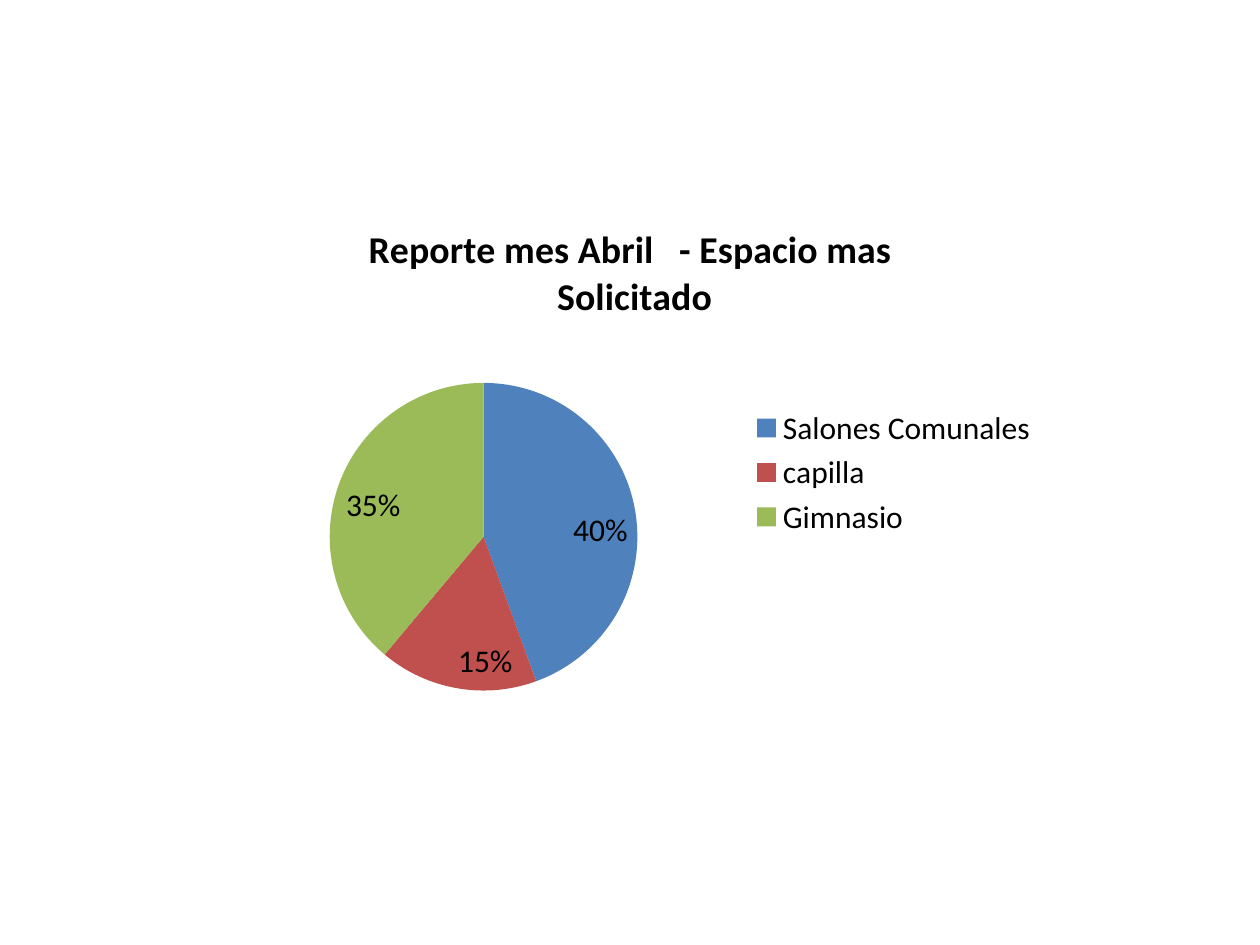
from dataclasses import dataclass

from lxml.etree import SubElement
from pptx import Presentation
from pptx.chart.data import CategoryChartData as Data
from pptx.dml.color import RGBColor as Color
from pptx.enum.chart import XL_CHART_TYPE as Kind
from pptx.enum.chart import XL_LABEL_POSITION as Spot
from pptx.enum.chart import XL_LEGEND_POSITION as Side
from pptx.oxml.ns import qn
from pptx.util import Inches, Pt


@dataclass(frozen=True)
class Theme:
    """Hold the colours, font and type sizes."""
    font: str = "Calibri"
    ink: str = "000000"
    slices: tuple = ("4F81BD", "C0504D", "9BBB59")
    head: float = 21.6
    body: float = 18


def assign(item, values):
    """Set each attribute of item from a dict."""
    for name, value in values.items():
        setattr(item, name, value)


def place(node, **spots):
    """Fill a chart layout node with fractions of the chart."""
    for old in list(node):
        node.remove(old)
    box = SubElement(node, qn("c:manualLayout"))
    if "w" in spots:
        SubElement(box, qn("c:layoutTarget")).set("val", "inner")
    for key in "xy":
        SubElement(box, qn(f"c:{key}Mode")).set("val", "edge")
    for key, value in spots.items():
        SubElement(box, qn(f"c:{key}")).set("val", str(value))


class Deck:
    """Draw styled elements on the current slide."""

    def __init__(self, theme, width, height):
        """Start a deck with one blank slide."""
        self.theme = theme
        self.show = Presentation()
        assign(self.show, {"slide_width": Inches(width),
                           "slide_height": Inches(height)})
        self.slide = self.show.slides.add_slide(self.show.slide_layouts[6])

    def style(self, font, size, bold=False):
        """Apply the theme to a font."""
        assign(font, {"name": self.theme.font, "size": Pt(size), "bold": bold})
        font.color.rgb = Color.from_string(self.theme.ink)

    def pie(self, box, title, shares):
        """Add a pie chart with a title, legend and percent labels."""
        data = Data()
        data.categories = list(shares)
        data.add_series("Series 1", list(shares.values()))
        chart = self.slide.shapes.add_chart(
            Kind.PIE, *map(Inches, box), data).chart
        self.style(chart.font, self.theme.body)
        self.title(chart, title)
        chart.has_legend = True
        assign(chart.legend, {"position": Side.RIGHT,
                              "include_in_layout": False})
        plot = chart.plots[0]
        assign(plot, {"vary_by_categories": True, "has_data_labels": True})
        labels = plot.data_labels
        assign(labels, {"show_value": True, "show_percentage": False,
                        "number_format": '0"%"',
                        "number_format_is_linked": False,
                        "position": Spot.INSIDE_END})
        self.style(labels.font, self.theme.body)
        for index, tone in enumerate(self.theme.slices):
            fill = plot.series[0].points[index].format.fill
            fill.solid()
            fill.fore_color.rgb = Color.from_string(tone)
        area = chart.element.find(".//" + qn("c:plotArea"))
        layout = area.find(qn("c:layout"))
        if layout is None:
            layout = SubElement(area, qn("c:layout"))
            area.insert(0, layout)
        place(layout, x=0.14, y=0.34, w=0.37, h=0.55)

    def title(self, chart, text):
        """Write and place the chart title."""
        chart.has_title = True
        head = chart.chart_title
        head.include_in_layout = False
        line = head.text_frame.paragraphs[0]
        run = line.add_run()
        run.text = text
        self.style(line.font, self.theme.head, True)
        self.style(run.font, self.theme.head, True)
        node = head.element
        layout = node.find(qn("c:layout"))
        if layout is None:
            layout = SubElement(node, qn("c:layout"))
            node.find(qn("c:tx")).addnext(layout)
        place(layout, x=0.18, y=0.04)


deck = Deck(Theme(), 10, 7.5)
deck.pie((1.67, 1.53, 6.67, 4.44),
         "Reporte mes Abril   - Espacio mas  Solicitado",
         {"Salones Comunales": 40, "capilla": 15, "Gimnasio": 35})
deck.show.save("out.pptx")
